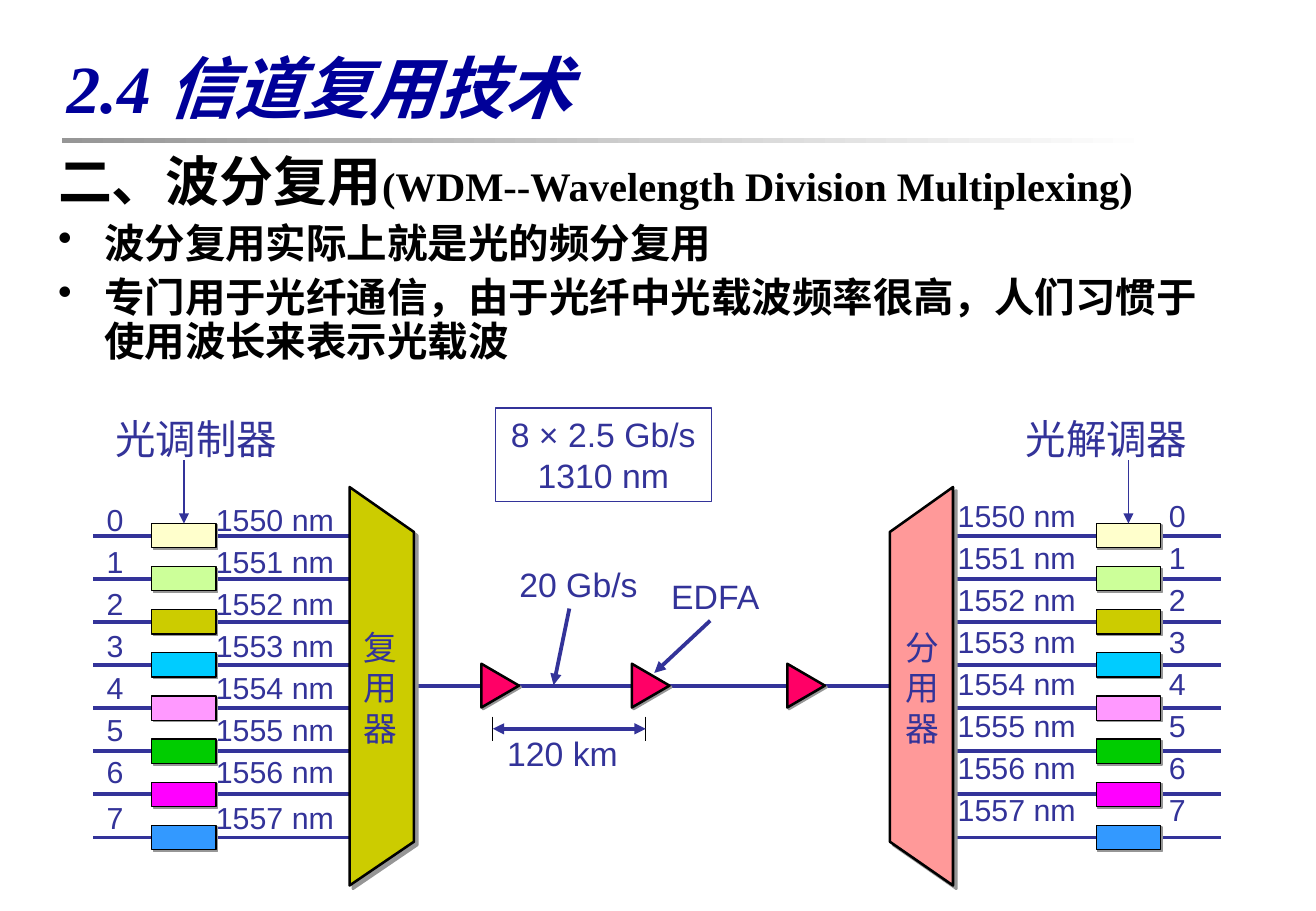
from lxml import etree
from pptx import Presentation
from pptx.dml.color import RGBColor
from pptx.enum.lang import MSO_LANGUAGE_ID
from pptx.enum.shapes import MSO_CONNECTOR, MSO_SHAPE
from pptx.enum.text import MSO_ANCHOR, PP_ALIGN
from pptx.oxml.ns import qn
from pptx.util import Inches, Pt

RECT, TRIANGLE = MSO_SHAPE.RECTANGLE, MSO_SHAPE.ISOSCELES_TRIANGLE
STRAIGHT = MSO_CONNECTOR.STRAIGHT
CENTER, MIDDLE = PP_ALIGN.CENTER, MSO_ANCHOR.MIDDLE
CHINESE = MSO_LANGUAGE_ID.SIMPLIFIED_CHINESE

BLACK = RGBColor(0x00, 0x00, 0x00)
WHITE = RGBColor(0xFF, 0xFF, 0xFF)
GRAY = RGBColor(0x96, 0x96, 0x96)
NAVY = RGBColor(0x00, 0x00, 0x99)
INDIGO = RGBColor(0x33, 0x33, 0x99)
RED = RGBColor(0xFF, 0x00, 0x66)
OLIVE = RGBColor(0xCC, 0xCC, 0x00)
SALMON = RGBColor(0xFF, 0x99, 0x99)
WAVES = [
    RGBColor(0xFF, 0xFF, 0xCC), RGBColor(0xCC, 0xFF, 0x99), OLIVE,
    RGBColor(0x00, 0xCC, 0xFF), RGBColor(0xFF, 0x99, 0xFF),
    RGBColor(0x00, 0xCC, 0x00), RGBColor(0xFF, 0x00, 0xFF),
    RGBColor(0x33, 0x99, 0xFF),
]

TITLE = {"size": Pt(40), "name": "Times New Roman", "bold": True,
         "italic": True, "language_id": CHINESE}
BODY = {"size": Pt(24), "name": "Times New Roman", "bold": True,
        "language_id": CHINESE}
LABEL = {"size": Pt(20), "name": "Arial"}
SMALL = {"size": Pt(18), "name": "Arial"}
UNIT = {"size": Pt(20), "name": "Times New Roman", "language_id": CHINESE}
HEAD = {"size": Pt(24), "name": "Cabin", "language_id": CHINESE}

deck = Presentation()
deck.slide_width, deck.slide_height = Inches(10.84), Inches(7.5)
slide = deck.slides.add_slide(deck.slide_layouts[6])
shapes = slide.shapes


def write(place, lines, style, color=INDIGO, layout={}):
    """Add a text box; each line is a list of runs."""
    box = shapes.add_textbox(*[Inches(n) for n in place])
    frame = box.text_frame
    frame.word_wrap = True
    for i, parts in enumerate(lines):
        para = frame.paragraphs[0] if i == 0 else frame.add_paragraph()
        for key, value in layout.items():
            setattr(para, key, value)
        for part in parts:
            run = para.add_run()
            run.text = part
            run.font.color.rgb = color
            for key, value in style.items():
                setattr(run.font, key, value)
    return box


def link(x1, y1, x2, y2, width=2.25, color=INDIGO, ends=()):
    """Add a straight line with arrowheads at the named ends."""
    line = shapes.add_connector(
        STRAIGHT, Inches(x1), Inches(y1), Inches(x2), Inches(y2))
    line.line.width = Pt(width)
    line.line.color.rgb = color
    pen = line.line._get_or_add_ln()
    for end in ends:
        etree.SubElement(pen, qn("a:" + end), type="triangle")
    etree.SubElement(line._element.spPr, qn("a:effectLst"))
    return line


# Title and rule
rule = shapes.add_shape(RECT, Inches(0.51), Inches(1.14), Inches(9), Inches(0.04))
rule.shadow.inherit = False
rule.line.fill.background()
rule.fill.gradient()
rule.fill.gradient_angle = 0
for stop, color, spot in zip(rule.fill.gradient_stops, (GRAY, WHITE), (0, 1)):
    stop.color.rgb, stop.position = color, spot
title = write((0.45, 0.28, 9.84, 0.87), [["2.4 信道复用技术"]], TITLE, NAVY)
title.text_frame.vertical_anchor = MIDDLE

# Body text
body = write(
    (0.38, 1.23, 9.87, 2.13),
    [["二、波分复用", "(WDM--Wavelength Division Multiplexing)"],
     ["波分复用实际上就是光的频分复用"],
     ["专门用于光纤通信，由于光纤中光载波频率很高，人们习惯于使用波长来表示光载波"]],
    BODY, BLACK, {"line_spacing": 0.9, "space_before": Pt(6)})
paras = body.text_frame.paragraphs
paras[0].runs[0].font.size = Pt(32)
for para in paras:
    props = para._p.get_or_add_pPr()
    props.set("marL", str(Inches(0.38)))
    props.set("indent", str(Inches(-0.38)))
    if para is not paras[0]:
        etree.SubElement(props, qn("a:buChar"), char="•")

# Channel numbers and wavelengths
numbers = [[str(n)] for n in range(8)]
lengths = [[f"{1550 + n} nm"] for n in range(8)]
columns = [(0.78, 4.03, numbers), (1.68, 4.03, lengths),
           (7.79, 4, lengths), (9.53, 4, numbers)]
for left, top, lines in columns:
    wide = 1.3 if lines is lengths else 0.4
    column = write((left, top, wide, 2.86), lines, SMALL,
                   layout={"line_spacing": Pt(24.9)})
    if top > 4:
        column.text_frame.paragraphs[-1].space_before = Pt(2.5)

# Channel lines and the trunk
STEP = 0.355
for left in (0.77, 7.85):
    for n in range(8):
        y = 4.41 + n * STEP
        link(left, y, left + 2.21, y)
link(3.03, 5.65, 7.79, 5.65)

# Modulators, with an arrow to the top one on each side
solids = []
for left, name, start in ((1.25, "光调制器", 0.85), (9.03, "光解调器", 8.35)):
    boxes = [shapes.add_shape(RECT, Inches(left), Inches(4.31 + n * STEP),
                              Inches(0.53), Inches(0.2)) for n in range(8)]
    solids += [(box, color, 0.75, 1.4) for box, color in zip(boxes, WAVES)]
    write((start, 3.36, 1.6, 0.5), [[name]], HEAD)
    mid = left + 0.265
    arrow = link(mid, 3.79, mid, 4.31, 0.75, ends=["tailEnd"])
    arrow.end_connect(boxes[0], 0)

# Amplifiers
for left in (3.94, 5.18, 6.46):
    amp = shapes.add_shape(TRIANGLE, Inches(left), Inches(5.49),
                           Inches(0.36), Inches(0.31))
    amp.rotation = 90
    solids.append((amp, RED, 1.5, 1.4))

# Multiplexer and demultiplexer
for outer, inner, color in ((2.88, 3.41, OLIVE), (7.85, 7.33, SALMON)):
    path = shapes.build_freeform(Inches(outer), Inches(7.29))
    path.add_line_segments(
        [(Inches(x), Inches(y)) for x, y in
         ((inner, 6.93), (inner, 4.38), (outer, 4.01))], close=True)
    solids.append((path.convert_to_shape(), color, 1.5, 2.8))

# Fill, outline and hard shadow of every solid
for solid, color, width, depth in solids:
    solid.fill.solid()
    solid.fill.fore_color.rgb = color
    solid.line.color.rgb = BLACK
    solid.line.width = Pt(width)
    solid.shadow.inherit = False
    effects = solid._element.spPr.find(qn("a:effectLst"))
    shade = etree.SubElement(effects, qn("a:outerShdw"), dist=str(Pt(depth)),
                             dir="2700000", algn="ctr", rotWithShape="0")
    etree.SubElement(shade, qn("a:srgbClr"), val=str(GRAY))

# Unit names, one character a line
for left, name in ((2.9, "复用器"), (7.36, "分用器")):
    write((left, 5.11, 0.5, 1.1), [[sign] for sign in name], UNIT)

# Rates, amplifier label and span
rate = write((4.08, 3.36, 1.78, 0.77), [["8 × 2.5 Gb/s"], ["1310 nm"]], LABEL,
             layout={"alignment": CENTER})
rate.line.color.rgb = INDIGO
rate.line.width = Pt(0.75)
for left, top, words in ((4.18, 4.59, "20 Gb/s"), (5.43, 4.69, "EDFA"),
                         (4.08, 5.98, "120 km")):
    write((left, top, 1.3, 0.44), [[words]], LABEL)
link(4.69, 5.01, 4.56, 5.64, ends=["tailEnd"])
link(5.85, 5.11, 5.39, 5.54, ends=["tailEnd"])
for x in (4.06, 5.32):
    link(x, 5.9, x, 6.1, 0.75, BLACK)
link(4.06, 6, 5.32, 6, ends=["headEnd", "tailEnd"])

deck.save("out.pptx")
